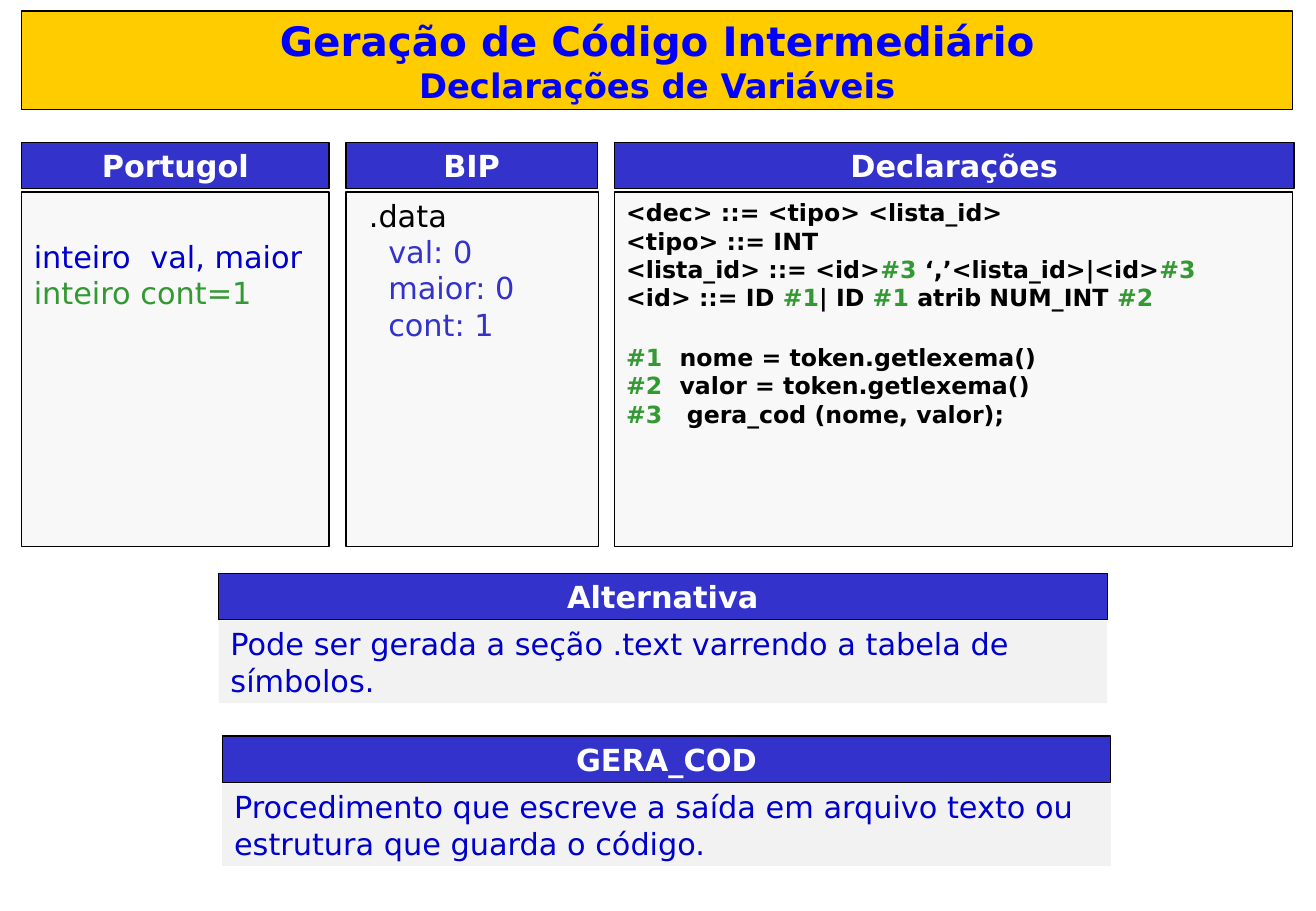
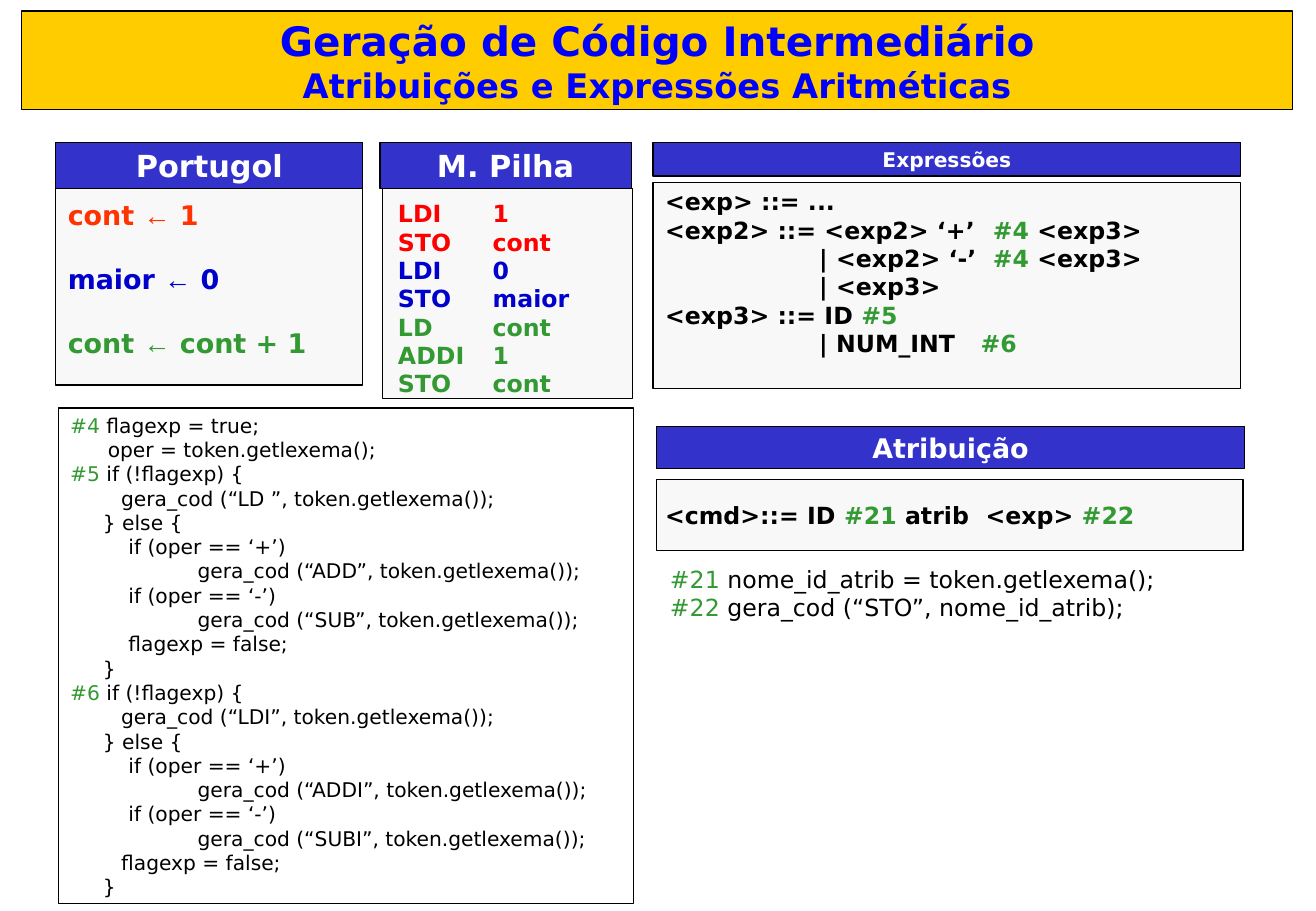
import dataclasses

import pptx
import pptx.dml.color
import pptx.enum.shapes
import pptx.enum.text
import pptx.util
from pptx.oxml.xmlchemy import OxmlElement

COLORS = {
    "black": "000000", "white": "FFFFFF", "gold": "FFCC00", "title": "0000FF",
    "heading": "3333CC", "panel": "F8F8F8", "note": "F2F2F2", "blue": "0000CC",
    "green": "339933", "red": "FF0000", "orange": "FF3300",
}
FONT = "DejaVu Sans"
ARROW_FONT = "Arial"
GRID = 0.1  # inches per column and per row
BLANK_LAYOUT = 6


def rgb(name):
    return pptx.dml.color.RGBColor.from_string(COLORS[name])


@dataclasses.dataclass
class Line:
    """A paragraph; tabs are in inches, space before and size in points."""
    text: str
    color: str = ""
    tabs: tuple = ()
    before: float = 0
    size: float = 0


def split_runs(text, color):
    """Yield (text, colour, font): action tags such as #4 are green, arrows use Arial."""
    plain, *tagged = text.split("#")
    pieces = [(plain, color)]
    for part in tagged:
        rest = part.lstrip("0123456789")
        pieces.append(("#" + part[:len(part) - len(rest)], "green"))
        pieces.append((rest, color))
    for piece, piece_color in pieces:
        before, arrow, after = piece.partition("←")
        for run_text, font in ((before, FONT), (arrow, ARROW_FONT), (after, FONT)):
            if run_text:
                yield run_text, piece_color, font


def set_tabs(paragraph, positions):
    tab_list = OxmlElement("a:tabLst")
    for position in positions:
        tab = OxmlElement("a:tab")
        tab.set("pos", str(int(pptx.util.Inches(position))))
        tab.set("algn", "l")
        tab_list.append(tab)
    paragraph._p.get_or_add_pPr().append(tab_list)


def write(shape, lines, size=18, color="black", bold=False, centered=False):
    frame = shape.text_frame
    frame.word_wrap = True
    frame.vertical_anchor = pptx.enum.text.MSO_ANCHOR.TOP
    frame.margin_left = frame.margin_right = pptx.util.Inches(0.1)
    frame.margin_top = frame.margin_bottom = pptx.util.Inches(0.04)
    alignment = pptx.enum.text.PP_ALIGN
    for index, line in enumerate(lines):
        if isinstance(line, str):
            line = Line(line)
        paragraph = frame.add_paragraph() if index else frame.paragraphs[0]
        paragraph.alignment = alignment.CENTER if centered else alignment.LEFT
        if line.before:
            paragraph.space_before = pptx.util.Pt(line.before)
        if line.tabs:
            set_tabs(paragraph, line.tabs)
        for text, run_color, font in split_runs(line.text, line.color or color):
            run = paragraph.add_run()
            run.text = text
            run.font.name = font
            run.font.size = pptx.util.Pt(line.size or size)
            run.font.bold = bold
            run.font.color.rgb = rgb(run_color)


class Deck:
    """Holds the style and the current slide; places are (column, row, columns, rows)."""

    def __init__(self):
        self.presentation = pptx.Presentation()
        self.presentation.slide_width = pptx.util.Inches(10.84)
        self.presentation.slide_height = pptx.util.Inches(7.5)
        self.slide = None

    def add_slide(self, subtitle):
        layout = self.presentation.slide_layouts[BLANK_LAYOUT]
        self.slide = self.presentation.slides.add_slide(layout)
        band = self.box((1.8, 0.9, 104.7, 8.1), "gold")
        write(band, ["Geração de Código Intermediário", Line(subtitle, size=20)],
              size=24, color="title", bold=True, centered=True)

    def place(self, place):
        return [pptx.util.Inches(round(cells * GRID, 3)) for cells in place]

    def box(self, place, fill=None, outlined=True):
        shape = self.slide.shapes.add_shape(
            pptx.enum.shapes.MSO_SHAPE.RECTANGLE, *self.place(place))
        shape.shadow.inherit = False
        if fill:
            shape.fill.solid()
            shape.fill.fore_color.rgb = rgb(fill)
        else:
            shape.fill.background()
        if outlined:
            shape.line.color.rgb = rgb("black")
            shape.line.width = pptx.util.Pt(0.75)
        else:
            shape.line.fill.background()
        return shape

    def text(self, place, lines, **style):
        write(self.slide.shapes.add_textbox(*self.place(place)), lines, **style)

    def heading(self, place, label, size=18):
        write(self.box(place, "heading"), [label], size=size, color="white",
              bold=True, centered=True)

    def panel(self, label, heading, body, text, lines, heading_size=18, **style):
        self.box(body, "panel")
        self.text(text, lines, **style)
        self.heading(heading, label, heading_size)

    def note(self, label, column, row, sentence):
        note = self.box((column, row + 3.9, 73.2, 6.8), "note", outlined=False)
        write(note, [sentence], color="blue")
        self.heading((column, row, 73.2, 3.8), label)


def expression_action(tag, suffix, load, reset_tab):
    """Lines of the action that emits an operand; suffix marks the immediate form."""
    lines = [
        f"{tag} if (!flagexp) {{",
        Line(f"\tgera_cod (“{load}”, token.getlexema());", tabs=(0.42,)),
        Line("\t} else {", tabs=(0.27,)),
    ]
    for sign, name in (("+", "ADD"), ("-", "SUB")):
        lines.append(Line(f"\tif (oper == ‘{sign}’)", tabs=(0.48,)))
        lines.append(Line(f"\tgera_cod (“{name}{suffix}”, token.getlexema());",
                          tabs=(1.05,)))
    lines.append(Line("\tflagexp = false;", tabs=(reset_tab,)))
    lines.append(Line("\t}", tabs=(0.27,)))
    return lines


def add_declarations(deck):
    deck.add_slide("Declarações de Variáveis")
    variables = [Line(f"\t{text}", "heading", (0.16,))
                 for text in ("val: 0", "maior: 0", "cont: 1")]
    deck.panel("BIP", (28.5, 11.7, 20.7, 3.8), (28.5, 15.8, 20.8, 29.2),
               (29.4, 15.8, 18.9, 12.8), [".data", *variables])
    deck.panel("Portugol", (1.8, 11.7, 25.3, 3.8), (1.8, 15.8, 25.3, 29.2),
               (1.8, 19.2, 27.1, 9.8),
               [Line("inteiro\tval, maior", "blue", (0.96,)),
                Line("inteiro cont=1", "green")])
    deck.panel("Declarações", (50.6, 11.7, 56, 3.8), (50.6, 15.8, 55.9, 29.2),
               (50.6, 15.9, 56, 19.8),
               ["<dec> ::= <tipo> <lista_id>",
                "<tipo> ::= INT",
                "<lista_id> ::= <id>#3 ‘,’<lista_id>|<id>#3",
                "<id> ::= ID #1| ID #1 atrib NUM_INT #2",
                Line("#1\tnome = token.getlexema()", tabs=(0.44,), before=18.6),
                Line("#2\tvalor = token.getlexema()", tabs=(0.44,)),
                Line("#3\tgera_cod (nome, valor);", tabs=(0.5,))],
               size=14, bold=True)
    deck.note("GERA_COD", 18.3, 60.6, "Procedimento que escreve a saída em arquivo "
              "texto ou estrutura que guarda o código.")
    deck.note("Alternativa", 18, 47.2,
              "Pode ser gerada a seção .text varrendo a tabela de símbolos.")


def add_expressions(deck):
    deck.add_slide("Atribuições e Expressões Aritméticas")
    instructions = (
        ("red", "LDI\t1", "STO\tcont"),
        ("blue", "LDI\t0", "STO\tmaior"),
        ("green", "LD\tcont", "ADDI\t1", "STO\tcont"),
    )
    deck.panel("M. Pilha", (31.3, 11.7, 20.7, 3.8), (31.5, 15.5, 20.6, 17.3),
               (31.8, 16, 18.9, 17.1),
               [Line(text, color, (0.78,))
                for color, *texts in instructions for text in texts],
               size=14, bold=True)
    deck.panel("Portugol", (4.6, 11.7, 25.3, 3.8), (4.6, 13.4, 25.3, 18.3),
               (4.6, 15.9, 27.1, 14.1),
               [Line("cont ← 1", "orange"),
                Line("maior ← 0", "blue", before=19),
                Line("cont ← cont + 1", "green", before=19)],
               size=16, bold=True)
    deck.panel("Expressões", (53.8, 11.7, 48.4, 2.8), (53.8, 15, 48.4, 17),
               (53.8, 15, 48.4, 14.8),
               ["<exp> ::= ...",
                Line("<exp2> ::= <exp2> ‘+’\t#4 <exp3>", tabs=(2.7,)),
                Line("\t| <exp2> ‘-’\t#4 <exp3>", tabs=(1.27, 2.7)),
                Line("\t| <exp3>", tabs=(1.27,)),
                "<exp3> ::= ID #5",
                Line("\t| NUM_INT\t#6", tabs=(1.27, 2.6))],
               heading_size=12, size=14, bold=True)
    deck.panel("Atribuição", (54.1, 35.1, 48.4, 3.5), (54.1, 39.5, 48.3, 5.8),
               (53.8, 40.8, 50, 3.1),
               [Line("<cmd>::= ID #21 atrib\t<exp> #22", tabs=(2.64,))],
               heading_size=16, size=14, bold=True)
    code = ["#4 flagexp = true;", Line("\toper = token.getlexema();", tabs=(0.31,))]
    code += expression_action("#5", "", "LD ", 0.48)
    code += expression_action("#6", "I", "LDI", 0.42)
    write(deck.box((4.8, 33.6, 47.4, 40.8)), code, size=12)
    deck.text((54.2, 46.1, 48.3, 5.7),
              ["#21 nome_id_atrib = token.getlexema();",
               "#22 gera_cod (“STO”, nome_id_atrib);"], size=14)


def main():
    deck = Deck()
    add_declarations(deck)
    add_expressions(deck)
    deck.presentation.save("out.pptx")


if __name__ == "__main__":
    main()
